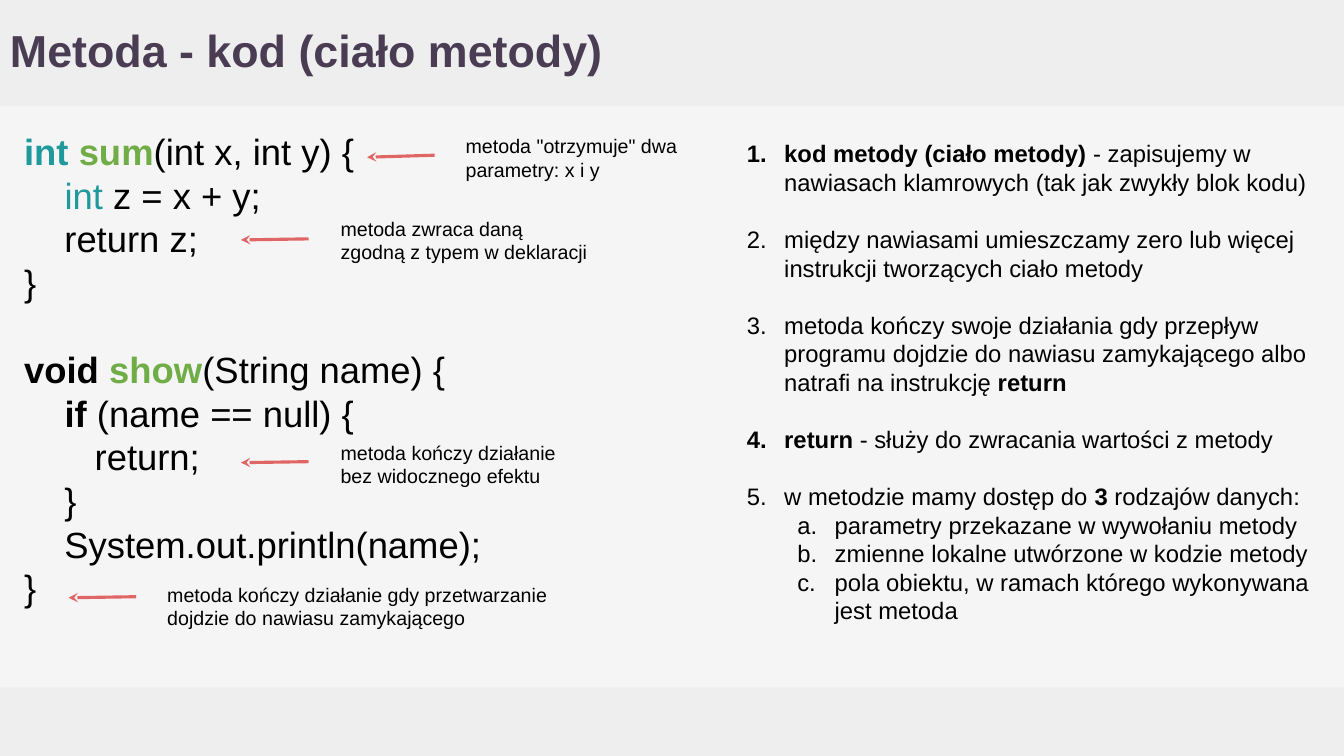
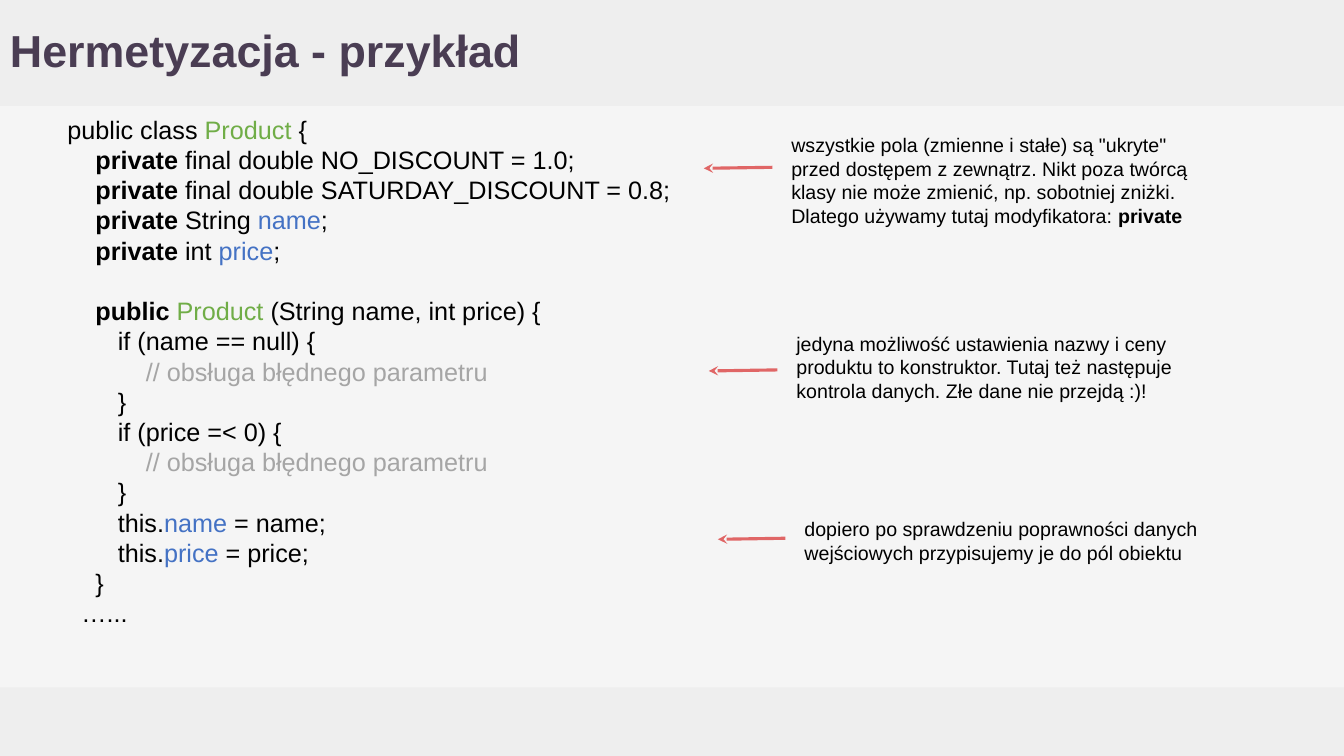
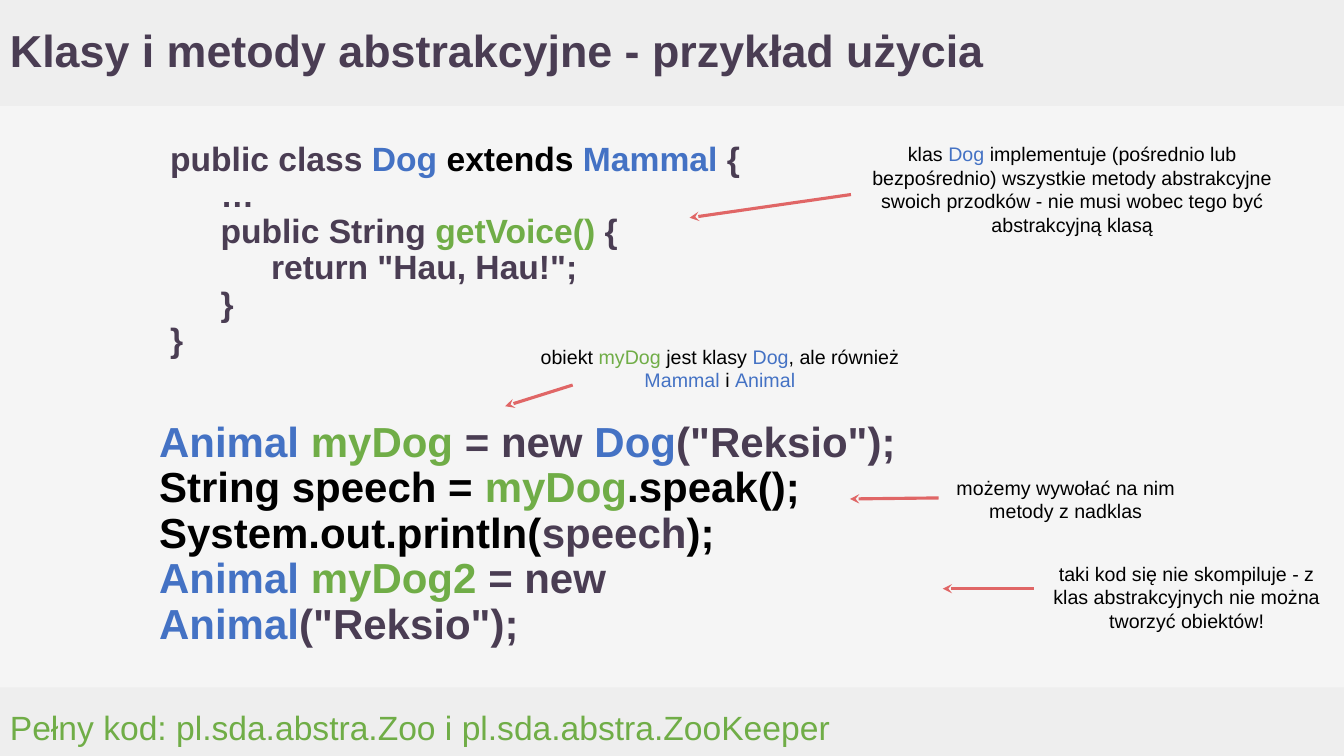
from dataclasses import dataclass
from lxml import etree
from pptx import Presentation
from pptx.dml.color import RGBColor
from pptx.enum.shapes import MSO_CONNECTOR, MSO_SHAPE
from pptx.enum.text import MSO_ANCHOR, PP_ALIGN
from pptx.oxml.ns import qn
from pptx.util import Inches, Pt

STRAIGHT = MSO_CONNECTOR.STRAIGHT
RECT = MSO_SHAPE.RECTANGLE
TOP, MIDDLE = MSO_ANCHOR.TOP, MSO_ANCHOR.MIDDLE
LEFT, CENTER = PP_ALIGN.LEFT, PP_ALIGN.CENTER
LEFT_SIDE = 1


@dataclass(frozen=True)
class Theme:
    font: str = "Arial"
    back: str = "F5F5F5"
    band: str = "EEEEEE"
    plum: str = "4A3D53"
    black: str = "000000"
    teal: str = "20999D"
    green: str = "70AD47"
    blue: str = "4472C4"
    gray: str = "A5A5A5"
    arrow: str = "E06666"
    title: int = 32
    note: int = 14
    line_height: float = 1.2


T = Theme()
WIDTH, HEIGHT = 13.33, 7.5
BANDS = [(0, 1.05), (6.82, 0.68)]
TITLE_BOX = (0, 0, 11.92, 1.05)

GAP = {"gap": True}
INDENT = {"first": 0.5}
ITEM = {"number": "arabicPeriod", "left": 0.5, "first": -0.37}
NEXT = {**ITEM, **GAP}
SUB = {"number": "alphaLcPeriod", "left": 1, "first": -0.37, "level": 1}


def bold(text, color=None):
    return text, color, True


def green(text):
    return text, T.green


def blue(text):
    return text, T.blue


def black(text):
    return text, T.black


def plum(text):
    return text, T.plum


COMMENT = ["\t    ", ("// obsługa błędnego parametru", T.gray)]

SLIDES = [
    {
        "title": "Metoda - kod (ciało metody)",
        "texts": [
            {"at": (0.14, 1.18, 4.81, 5.47), "size": 26, "paragraphs": [
                [bold("int ", T.teal), bold("sum", T.green), "(int x, int y) {"],
                ["    ", ("int", T.teal), " z = x + y;"],
                ["    return z;"],
                ["}"],
                [GAP, bold("void "), bold("show", T.green), "(String name) {"],
                ["    ", bold("if "), "(name == null) {"],
                ["       return;"],
                ["    }"],
                ["    System.out.println(name);"],
                ["}"],
            ]},
            {"at": (7.18, 1.28, 6.14, 5.53), "size": 17, "paragraphs": [
                [ITEM, bold("kod metody (ciało metody)"),
                 " - zapisujemy w nawiasach klamrowych (tak jak zwykły blok kodu)"],
                [NEXT, "między nawiasami umieszczamy zero lub więcej instrukcji "
                       "tworzących ciało metody"],
                [NEXT, "metoda kończy swoje działania gdy przepływ programu dojdzie do "
                       "nawiasu zamykającego albo natrafi na instrukcję ", bold("return")],
                [NEXT, bold("return "), "- służy do zwracania wartości z metody"],
                [NEXT, "w metodzie mamy dostęp do ", bold("3"), " rodzajów danych:"],
                [SUB, "parametry przekazane w wywołaniu metody"],
                [SUB, "zmienne lokalne utwórzone w kodzie metody"],
                [SUB, "pola obiektu, w ramach którego wykonywana jest metoda"],
            ]},
        ],
        "notes": [
            {"at": (3.28, 2.05, 2.66, 0.65), "arrow": (2.39, 2.38, 3.06, 2.37),
             "paragraphs": [["metoda zwraca daną zgodną z typem w deklaracji"]]},
            {"at": (4.52, 1.23, 2.66, 0.65), "arrow": (3.64, 1.56, 4.31, 1.54),
             "paragraphs": [['metoda "otrzymuje" dwa parametry: x i y']]},
            {"at": (3.28, 4.27, 2.43, 0.65), "arrow": (2.39, 4.59, 3.06, 4.58),
             "paragraphs": [["metoda kończy działanie bez widocznego efektu"]]},
            {"at": (1.56, 5.68, 4.02, 0.65), "arrow": (0.68, 5.93, 1.35, 5.92),
             "paragraphs": [["metoda kończy działanie gdy przetwarzanie dojdzie do "
                             "nawiasu zamykającego"]]},
        ],
    },
    {
        "title": "Hermetyzacja - przykład",
        "texts": [
            {"at": (0.57, 1.03, 6.38, 5.89), "size": 18, "paragraphs": [
                ["public class ", green("Product "), "{"],
                ["    ", bold("private "), "final double NO_DISCOUNT = 1.0;"],
                ["    ", bold("private "), "final double SATURDAY_DISCOUNT = 0.8;"],
                ["    ", bold("private "), "String ", blue("name"), ";"],
                ["    ", bold("private "), "int ", blue("price"), ";"],
                [GAP, "    ", bold("public "), green("Product "),
                 "(String name, int price) {"],
                ["\tif (name == null) {"],
                COMMENT,
                [INDENT, "}"],
                [INDENT, "if (price =< 0) {"],
                COMMENT,
                [INDENT, "}"],
                [INDENT, "this.", blue("name"), " = name;"],
                [INDENT, "this.", blue("price"), " = price;"],
                ["    }"],
                ["  …..."],
            ]},
        ],
        "notes": [
            {"at": (7.75, 1.22, 4.39, 1.05), "arrow": (6.98, 1.67, 7.66, 1.66),
             "paragraphs": [
                 ['wszystkie pola (zmienne i stałe) są "ukryte" przed dostępem z '
                  "zewnątrz. Nikt poza twórcą klasy nie może zmienić, np. sobotniej "
                  "zniżki."],
                 ["Dlatego używamy tutaj modyfikatora: ", bold("private")]]},
            {"at": (7.8, 3.19, 4.39, 0.75), "arrow": (7.03, 3.68, 7.71, 3.67),
             "paragraphs": [["jedyna możliwość ustawienia nazwy i ceny produktu to "
                             "konstruktor. Tutaj też następuje kontrola danych. Złe "
                             "dane nie przejdą :)!"]]},
            {"at": (7.88, 5.03, 4.39, 0.75), "arrow": (7.12, 5.35, 7.79, 5.34),
             "paragraphs": [["dopiero po sprawdzeniu poprawności danych wejściowych "
                             "przypisujemy je do pól obiektu"]]},
        ],
    },
    {
        "title": "Klasy i metody abstrakcyjne - przykład użycia",
        "texts": [
            {"at": (1.59, 1.31, 6.2, 2.34), "size": 24, "color": T.plum, "bold": True,
             "spacing": 0.9, "paragraphs": [
                 ["public class ", blue("Dog "), black("extends"), blue(" Mammal "), "{"],
                 ["\t…"],
                 ["\tpublic String ", green("getVoice()"), " {"],
                 ['\t\treturn "Hau, Hau!";'],
                 [INDENT, "}"],
                 ["}"],
             ]},
            {"at": (1.48, 4.08, 7.83, 2.19), "size": 30, "bold": True, "spacing": 0.9,
             "paragraphs": [
                 [blue("Animal "), green("myDog "), plum("= new "), blue("Dog"),
                  plum('("Reksio");')],
                 ["String speech =", green(" myDog"), ".speak();"],
                 ["System.out.println(", plum("speech"), ");"],
                 [blue("Animal "), green("myDog2 "), plum("= new "), blue("Animal"),
                  plum('("Reksio");')],
             ]},
            {"at": (0, 6.93, 10.9, 0.57), "size": 24, "color": T.green, "anchor": MIDDLE,
             "paragraphs": [["Pełny kod: pl.sda.abstra.Zoo i pl.sda.abstra.ZooKeeper"]]},
        ],
        "notes": [
            {"at": (8.44, 1.31, 4.39, 1.24), "arrow": (6.84, 2.16, 8.44, 1.93),
             "joined": True, "align": CENTER, "paragraphs": [
                 ["klas ", blue("Dog "),
                  "implementuje (pośrednio lub bezpośrednio) wszystkie metody "
                  "abstrakcyjne swoich przodków - nie musi wobec tego być "
                  "abstrakcyjną klasą"]]},
            {"at": (5.09, 3.32, 4.1, 0.64), "arrow": (5.01, 4.03, 5.68, 3.82),
             "align": CENTER, "paragraphs": [
                 ["obiekt ", green("myDog "), "jest klasy ", blue("Dog"),
                  ", ale również ", blue("Mammal "), "i ", blue("Animal")]]},
            {"at": (9.31, 4.62, 2.52, 0.64), "arrow": (8.43, 4.95, 9.31, 4.94),
             "joined": True, "align": CENTER,
             "paragraphs": [["możemy wywołać na nim metody z nadklas"]]},
            {"at": (10.26, 5.47, 3.02, 0.91), "arrow": (9.35, 5.84, 10.26, 5.84),
             "align": CENTER,
             "paragraphs": [["taki kod się nie skompiluje - z klas abstrakcyjnych nie "
                             "można tworzyć obiektów!"]]},
        ],
    },
]


def inches(values):
    return [Inches(v) for v in values]


def format_paragraph(p, fmt, size):
    pPr = p._p.get_or_add_pPr()
    pPr.set("marL", str(Inches(fmt.get("left", 0))))
    pPr.set("indent", str(Inches(fmt.get("first", 0))))
    p.level = fmt.get("level", 0)
    if fmt.get("gap"):
        p.space_before = Pt(round(size * T.line_height, 1))
    if "number" in fmt:
        color = etree.SubElement(pPr, qn("a:buClr"))
        etree.SubElement(color, qn("a:srgbClr"), val=T.black)
        etree.SubElement(pPr, qn("a:buAutoNum"), type=fmt["number"])


def add_text(s, at, paragraphs, size, color=T.black, bold=False, spacing=None,
             align=LEFT, anchor=TOP):
    box = s.shapes.add_textbox(*inches(at))
    tf = box.text_frame
    frame = {"word_wrap": True, "vertical_anchor": anchor}
    frame.update({f"margin_{side}": Inches(0.1)
                  for side in ("left", "top", "right", "bottom")})
    for name, value in frame.items():
        setattr(tf, name, value)
    for i, runs in enumerate(paragraphs):
        p = tf.add_paragraph() if i else tf.paragraphs[0]
        p.alignment, p.line_spacing = align, spacing
        fmt = runs[0] if isinstance(runs[0], dict) else {}
        format_paragraph(p, fmt, size)
        for run in runs[1:] if fmt else runs:
            parts = (run,) if isinstance(run, str) else run
            text, run_color, run_bold = (*parts, None, None)[:3]
            r = p.add_run()
            r.text = text
            look = {"name": T.font, "size": Pt(size), "bold": run_bold or bold}
            for name, value in look.items():
                setattr(r.font, name, value)
            r.font.color.rgb = RGBColor.from_string(run_color or color)
    return box


def add_arrow(s, ends):
    arrow = s.shapes.add_connector(STRAIGHT, *inches(ends))
    arrow.line.color.rgb = RGBColor.from_string(T.arrow)
    arrow.line.width = Pt(2.25)
    etree.SubElement(arrow.line._get_or_add_ln(), qn("a:headEnd"), type="stealth")
    etree.SubElement(arrow._element.spPr, qn("a:effectLst"))
    return arrow


def add_note(s, arrow, joined=False, **text):
    box = add_text(s, size=T.note, **text)
    line = add_arrow(s, arrow)
    if joined:
        line.end_connect(box, LEFT_SIDE)


def add_base(prs, title):
    s = prs.slides.add_slide(prs.slide_layouts[6])
    s.background.fill.solid()
    s.background.fill.fore_color.rgb = RGBColor.from_string(T.back)
    for top, height in BANDS:
        band = s.shapes.add_shape(RECT, *inches((0, top, WIDTH, height)))
        band.shadow.inherit = False
        band.fill.solid()
        band.fill.fore_color.rgb = RGBColor.from_string(T.band)
        band.line.fill.background()
    add_text(s, TITLE_BOX, [[title]], T.title, T.plum, True, 0.9, anchor=MIDDLE)
    return s


def main():
    prs = Presentation()
    prs.slide_width, prs.slide_height = inches((WIDTH, HEIGHT))
    for content in SLIDES:
        s = add_base(prs, content["title"])
        for text in content["texts"]:
            add_text(s, **text)
        for note in content["notes"]:
            add_note(s, **note)
    prs.save("out.pptx")


if __name__ == "__main__":
    main()
